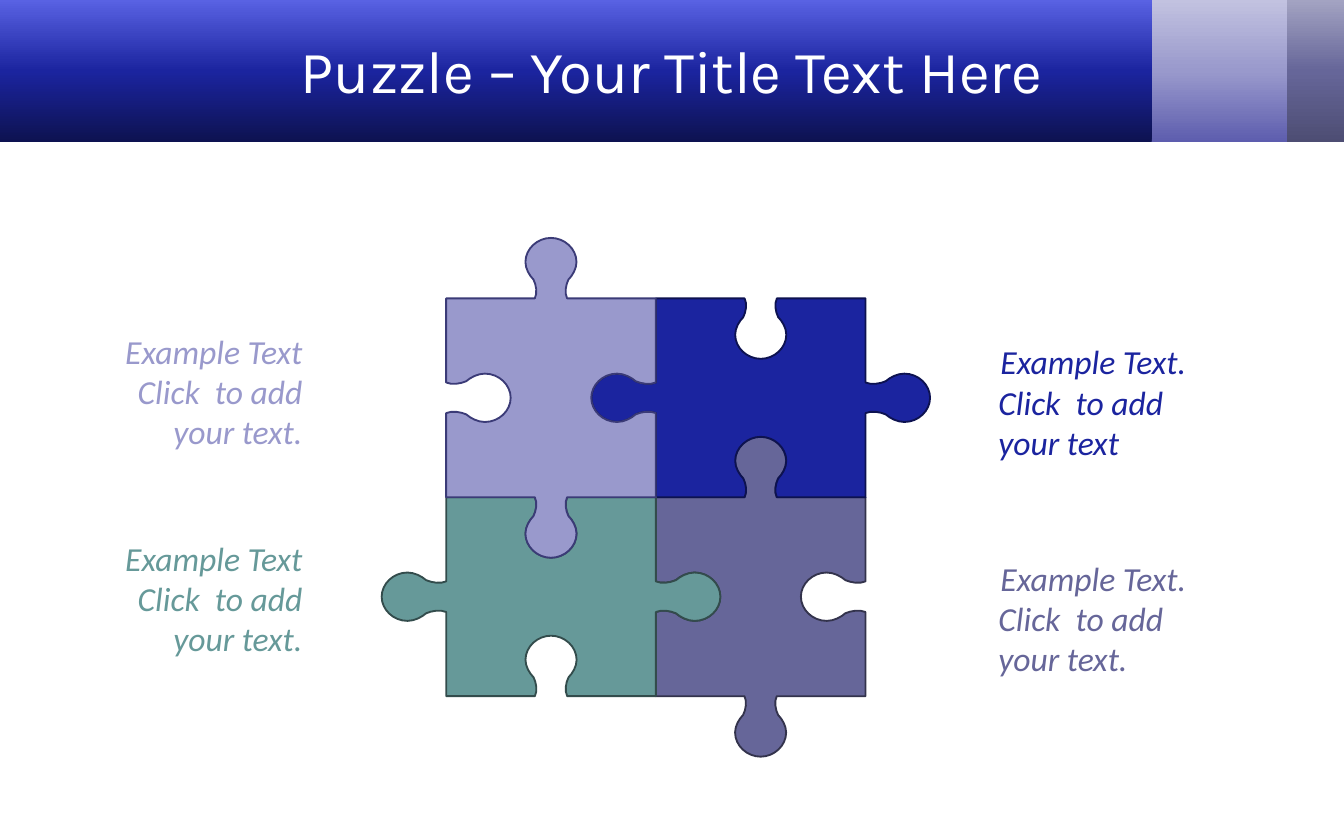
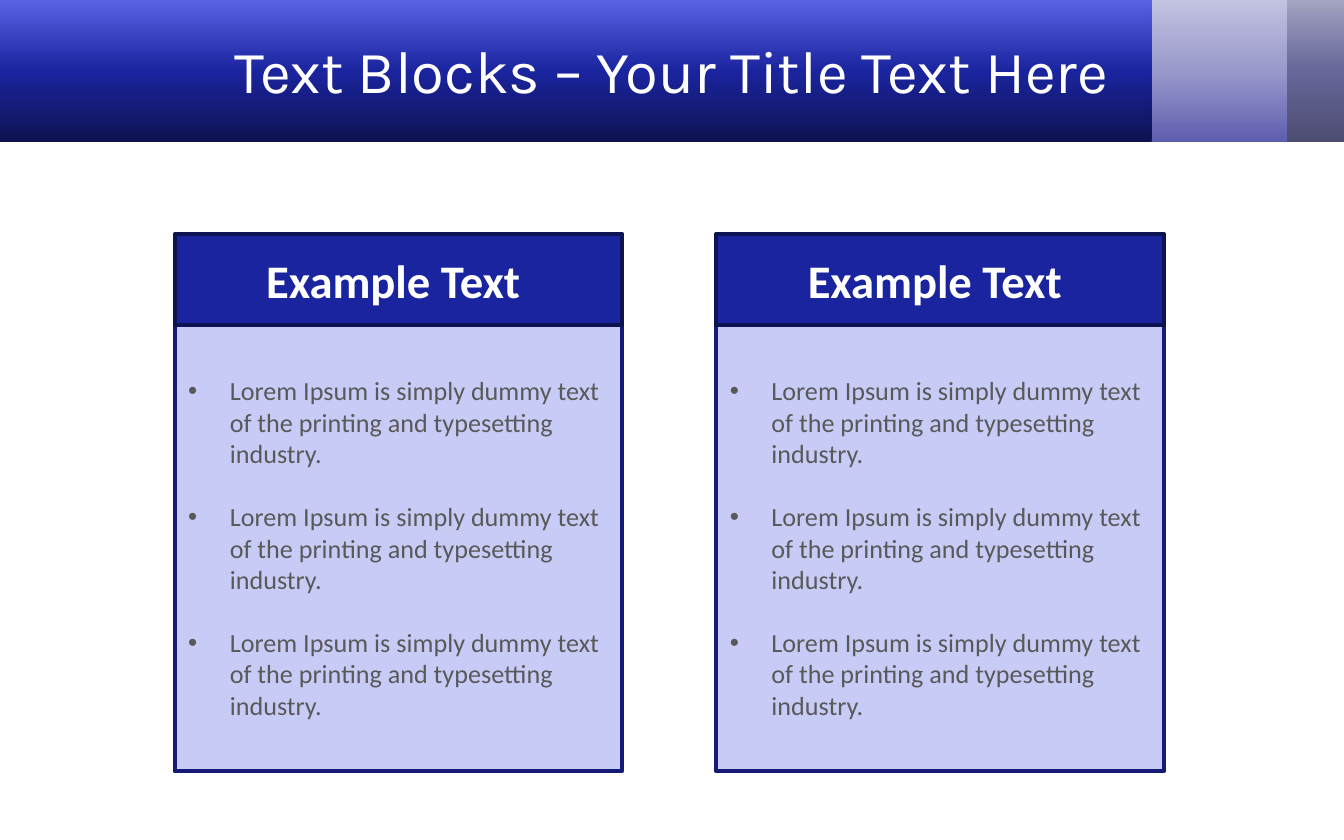
import copy
import dataclasses
import itertools
import typing

import pptx
import pptx.dml.color
import pptx.enum.shapes
import pptx.enum.text
import pptx.oxml.ns
import pptx.util
from pptx.util import Inches

ALIGN = pptx.enum.text.PP_ALIGN
MIDDLE = pptx.enum.text.MSO_ANCHOR.MIDDLE


@dataclasses.dataclass(frozen=True)
class Theme:
    white: str = "FFFFFF"
    blue: str = "1B249F"
    blue_edge: str = "0D1250"
    blue_light: str = "5962E3"
    lavender: str = "9999CC"
    lavender_edge: str = "3B3B77"
    lavender_deep: str = "5D5DAE"
    lavender_light: str = "C2C2E0"
    slate: str = "666699"
    slate_edge: str = "33334C"
    slate_deep: str = "4D4D73"
    slate_light: str = "A3A3C2"
    teal: str = "669999"
    teal_edge: str = "334C4C"
    card: str = "C8CBF6"
    card_edge: str = "141B77"
    body_text: str = "595959"
    title_font: str = "Karla"
    body_font: str = "Calibri"
    title_size: float = 32
    heading_size: float = 25
    caption_size: float = 18
    list_size: float = 14
    list_gap: float = 17
    piece_line: float = 1
    card_line: float = 2


THEME = Theme()


class Box(typing.NamedTuple):
    left: float
    top: float
    width: float
    height: float

    def lengths(self) -> list[int]:
        return [Inches(side) for side in self]


@dataclasses.dataclass(frozen=True)
class Band:
    box: Box
    stops: tuple[str, str, str]


@dataclasses.dataclass(frozen=True)
class Knob:
    half_width: float
    depth: float


@dataclasses.dataclass(frozen=True)
class Piece:
    column: int
    row: int
    color: str
    edge: str
    sideways: bool


@dataclasses.dataclass(frozen=True)
class Caption:
    box: Box
    color: str
    lines: tuple[str, str]
    aligns: tuple[typing.Any, typing.Any]


@dataclasses.dataclass(frozen=True)
class Card:
    left: float
    heading: str
    points: tuple[str, ...]


BAND_HEIGHT = 1.06
BANDS = (
    Band(Box(9.43, 0, 0.57, BAND_HEIGHT), (THEME.slate_deep, THEME.slate, THEME.slate_light)),
    Band(Box(8.53, 0, 1.05, BAND_HEIGHT), (THEME.lavender_deep, THEME.lavender, THEME.lavender_light)),
    Band(Box(0, 0, 8.57, BAND_HEIGHT), (THEME.blue_edge, THEME.blue, THEME.blue_light)),
)
TITLE_BOX = Box(0.5, 0.08, 9, 0.88)

PUZZLE_LEFT, PUZZLE_TOP = 3.32, 2.22
CELL_WIDTH, CELL_HEIGHT = 1.56, 1.48
UPRIGHT_KNOB = Knob(0.19, 0.45)
SIDE_KNOB = Knob(0.18, 0.48)
HALF_KNOB = (
    (-0.12, 0),
    (-0.1, 0.04), (-0.11, 0.1), (-0.13, 0.14),
    (-0.16, 0.17), (-0.19, 0.22), (-0.19, 0.27),
    (-0.19, 0.37), (-0.1, 0.45), (0, 0.45),
)
EDGE_POINTS = 2 * len(HALF_KNOB)
PIECES = (
    Piece(1, 1, THEME.slate, THEME.slate_edge, False),
    Piece(1, 0, THEME.blue, THEME.blue_edge, True),
    Piece(0, 1, THEME.teal, THEME.teal_edge, True),
    Piece(0, 0, THEME.lavender, THEME.lavender_edge, False),
)

LEFT_LINES = ("Example Text", "Click  to add your text.")
LEFT_ALIGNS = (ALIGN.RIGHT, ALIGN.RIGHT)
RIGHT_ALIGNS = (ALIGN.CENTER, ALIGN.LEFT)
CAPTIONS = (
    Caption(Box(0.58, 2.41, 1.77, 1.01), THEME.lavender, LEFT_LINES, LEFT_ALIGNS),
    Caption(Box(7.33, 4.1, 1.61, 1.01), THEME.slate,
            ("Example Text.", "Click  to add your text."), RIGHT_ALIGNS),
    Caption(Box(7.33, 2.49, 1.61, 1.01), THEME.blue,
            ("Example Text.", "Click  to add your text"), RIGHT_ALIGNS),
    Caption(Box(0.58, 3.95, 1.77, 1.01), THEME.teal, LEFT_LINES, LEFT_ALIGNS),
)

LOREM = "Lorem Ipsum is simply dummy text of the printing and typesetting industry."
CARD_WIDTH = 3.33
CARDS = tuple(Card(left, "Example Text ", (LOREM,) * 3) for left in (1.3, 5.33))


def rgb(color: str) -> pptx.dml.color.RGBColor:
    return pptx.dml.color.RGBColor.from_string(color)


def place(shape: typing.Any, box: Box) -> None:
    shape.left, shape.top, shape.width, shape.height = box.lengths()


def paint(shape: typing.Any, color: str, edge: str, width: float) -> None:
    shape.fill.solid()
    shape.fill.fore_color.rgb = rgb(color)
    shape.line.color.rgb = rgb(edge)
    shape.line.width = pptx.util.Pt(width)


def add_rectangle(slide: typing.Any, box: Box) -> typing.Any:
    rectangle = slide.shapes.add_shape(pptx.enum.shapes.MSO_SHAPE.RECTANGLE, *box.lengths())
    rectangle.shadow.inherit = False
    return rectangle


def write(paragraph: typing.Any, text: str, size: float, color: str, align: typing.Any,
          font: str = THEME.body_font, bold: bool = False, italic: bool = False) -> None:
    paragraph.alignment = align
    run = paragraph.add_run()
    run.text = text
    run.font.name = font
    run.font.size = pptx.util.Pt(size)
    run.font.bold = bold
    run.font.italic = italic
    run.font.color.rgb = rgb(color)


def paragraphs(frame: typing.Any, texts: tuple[str, ...]) -> typing.Iterator[tuple]:
    for index, text in enumerate(texts):
        yield (frame.add_paragraph() if index else frame.paragraphs[0]), text


def add_bullet(paragraph: typing.Any) -> None:
    properties = paragraph._p.get_or_add_pPr()
    properties.set("marL", str(Inches(0.31)))
    properties.set("indent", str(Inches(-0.31)))
    bullet = properties.makeelement(pptx.oxml.ns.qn("a:buChar"), {"char": "•"})
    properties.append(bullet)


def add_title(slide: typing.Any, text: str) -> None:
    title = slide.shapes.title
    place(title, TITLE_BOX)
    title.text_frame.vertical_anchor = MIDDLE
    write(title.text_frame.paragraphs[0], text, THEME.title_size, THEME.white,
          ALIGN.CENTER, THEME.title_font)


def add_bands_to_master(slide: typing.Any, master: typing.Any) -> None:
    for index, band in enumerate(BANDS):
        stripe = add_rectangle(slide, band.box)
        stripe.line.fill.background()
        stripe.fill.gradient()
        stripe.fill.gradient_angle = 90
        stop_list = stripe.element.find(".//" + pptx.oxml.ns.qn("a:gsLst"))
        stop_list.append(copy.deepcopy(stop_list[0]))
        for stop, color, position in zip(stripe.fill.gradient_stops, band.stops, (0, 0.5, 1)):
            stop.color.rgb = rgb(color)
            stop.position = position
        stripe.element.nvSpPr.cNvPr.set("id", str(100 + index))
        master.shapes.element.insert(2 + index, stripe.element)


def knob_profile(knob: Knob) -> list[tuple[float, float]]:
    full = list(HALF_KNOB) + [(-u, v) for u, v in reversed(HALF_KNOB[:-1])]
    return [(u * knob.half_width / 0.19, v * knob.depth / 0.45) for u, v in full]


def piece_outline(width: float, height: float, tab: Knob, socket: Knob) -> list[tuple[float, float]]:
    x, y = width / 2, height / 2
    corners = ((-x, -y), (x, -y), (x, y), (-x, y), (-x, -y))
    knobs = itertools.cycle(((tab, 1), (socket, -1)))
    outline = []
    for (x1, y1), (x2, y2), (knob, sign) in zip(corners, corners[1:], knobs):
        length = abs(x2 - x1) + abs(y2 - y1)
        dx, dy = (x2 - x1) / length, (y2 - y1) / length
        middle_x, middle_y = (x1 + x2) / 2, (y1 + y2) / 2
        outline.append((x1, y1))
        outline += [(middle_x + u * dx + sign * v * dy, middle_y + u * dy - sign * v * dx)
                    for u, v in knob_profile(knob)]
    return outline


def curve_knobs(jigsaw: typing.Any) -> None:
    outline = jigsaw.element.find(".//" + pptx.oxml.ns.qn("a:path"))
    segments = list(outline)[:-1]
    for edge in range(0, len(segments), EDGE_POINTS):
        for first in range(edge + 2, edge + EDGE_POINTS, 3):
            curve = outline.makeelement(pptx.oxml.ns.qn("a:cubicBezTo"))
            segments[first].addprevious(curve)
            for segment in segments[first:first + 3]:
                curve.append(segment[0])
                outline.remove(segment)


def add_piece(puzzle: typing.Any, piece: Piece) -> None:
    center_x = PUZZLE_LEFT + (piece.column + 0.5) * CELL_WIDTH
    center_y = PUZZLE_TOP + (piece.row + 0.5) * CELL_HEIGHT
    if piece.sideways:
        outline = piece_outline(CELL_HEIGHT, CELL_WIDTH, SIDE_KNOB, UPRIGHT_KNOB)
    else:
        outline = piece_outline(CELL_WIDTH, CELL_HEIGHT, UPRIGHT_KNOB, SIDE_KNOB)
    points = [(Inches(center_x + x), Inches(center_y + y)) for x, y in outline]
    builder = puzzle.shapes.build_freeform(*points[0])
    builder.add_line_segments(points[1:], close=True)
    jigsaw = builder.convert_to_shape()
    curve_knobs(jigsaw)
    jigsaw.shadow.inherit = False
    jigsaw.rotation = 90 if piece.sideways else 0
    paint(jigsaw, piece.color, piece.edge, THEME.piece_line)


def add_caption(slide: typing.Any, caption: Caption) -> None:
    frame = slide.shapes.add_textbox(*caption.box.lengths()).text_frame
    frame.word_wrap = True
    frame.auto_size = pptx.enum.text.MSO_AUTO_SIZE.SHAPE_TO_FIT_TEXT
    for (paragraph, line), align in zip(paragraphs(frame, caption.lines), caption.aligns):
        write(paragraph, line, THEME.caption_size, caption.color, align, italic=True)


def add_card(slide: typing.Any, card: Card, points_holder: typing.Any) -> None:
    place(points_holder, Box(card.left, 2.41, CARD_WIDTH, 3.33))
    paint(points_holder, THEME.card, THEME.card_edge, THEME.card_line)
    frame = points_holder.text_frame
    frame.auto_size = pptx.enum.text.MSO_AUTO_SIZE.NONE
    frame.vertical_anchor = MIDDLE
    for index, (paragraph, point) in enumerate(paragraphs(frame, card.points)):
        add_bullet(paragraph)
        paragraph.space_before = pptx.util.Pt(THEME.list_gap if index else 0)
        write(paragraph, point, THEME.list_size, THEME.body_text, ALIGN.LEFT)

    heading = add_rectangle(slide, Box(card.left, 1.74, CARD_WIDTH, 0.68))
    paint(heading, THEME.blue, THEME.blue_edge, THEME.card_line)
    heading.text_frame.vertical_anchor = MIDDLE
    write(heading.text_frame.paragraphs[0], card.heading, THEME.heading_size,
          THEME.white, ALIGN.CENTER, bold=True)


def main() -> None:
    deck = pptx.Presentation()
    deck.slide_width, deck.slide_height = Inches(10), Inches(6.25)

    puzzle_slide = deck.slides.add_slide(deck.slide_layouts.get_by_name("Title Only"))
    add_bands_to_master(puzzle_slide, deck.slide_master)
    add_title(puzzle_slide, "Puzzle – Your Title Text Here")
    puzzle = puzzle_slide.shapes.add_group_shape()
    for piece in PIECES:
        add_piece(puzzle, piece)
    for caption in CAPTIONS:
        add_caption(puzzle_slide, caption)

    cards_slide = deck.slides.add_slide(deck.slide_layouts.get_by_name("Two Content"))
    add_title(cards_slide, "Text Blocks – Your Title Text Here")
    for card, points_holder in zip(CARDS, list(cards_slide.placeholders)[1:]):
        add_card(cards_slide, card, points_holder)

    deck.save("out.pptx")


if __name__ == "__main__":
    main()
